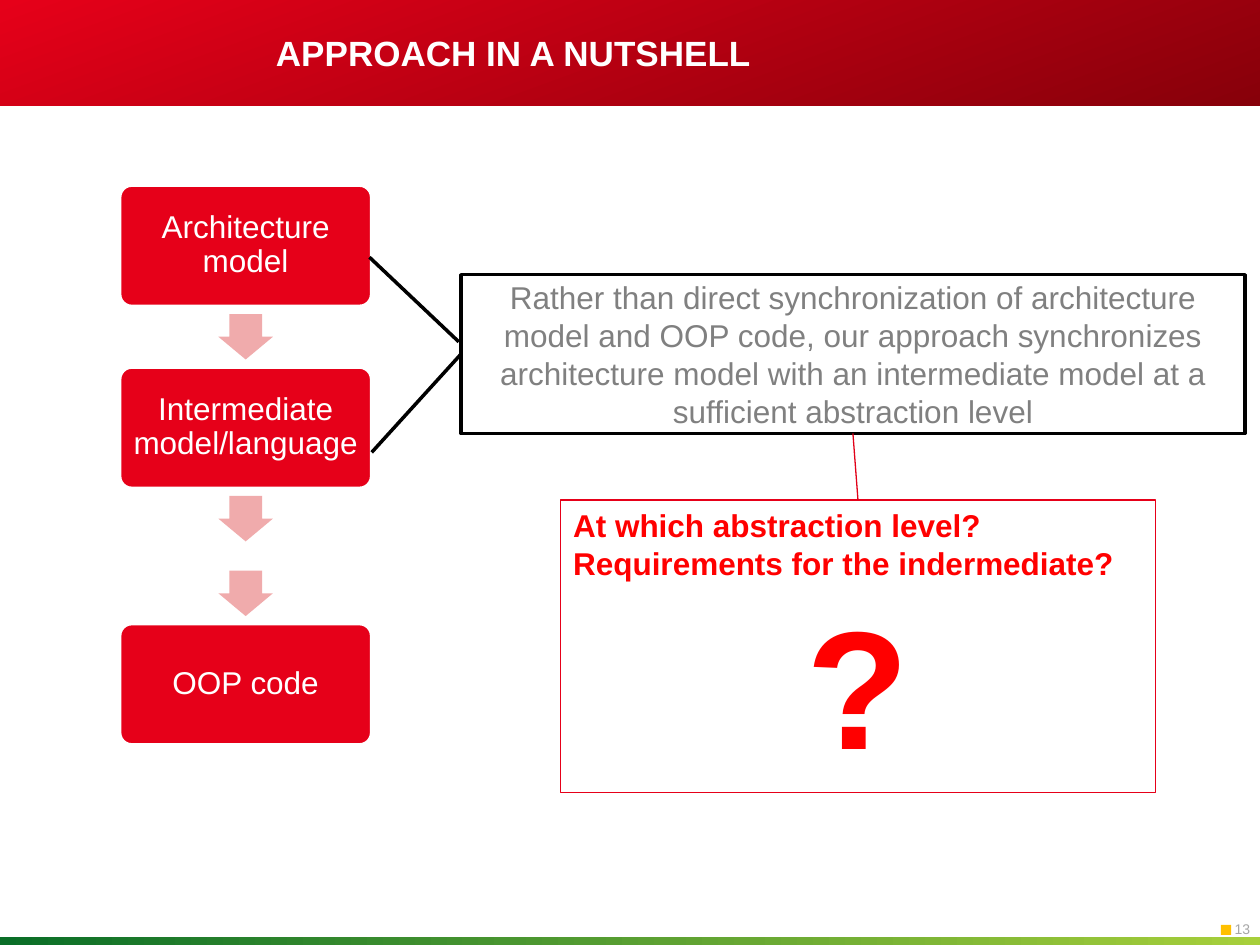
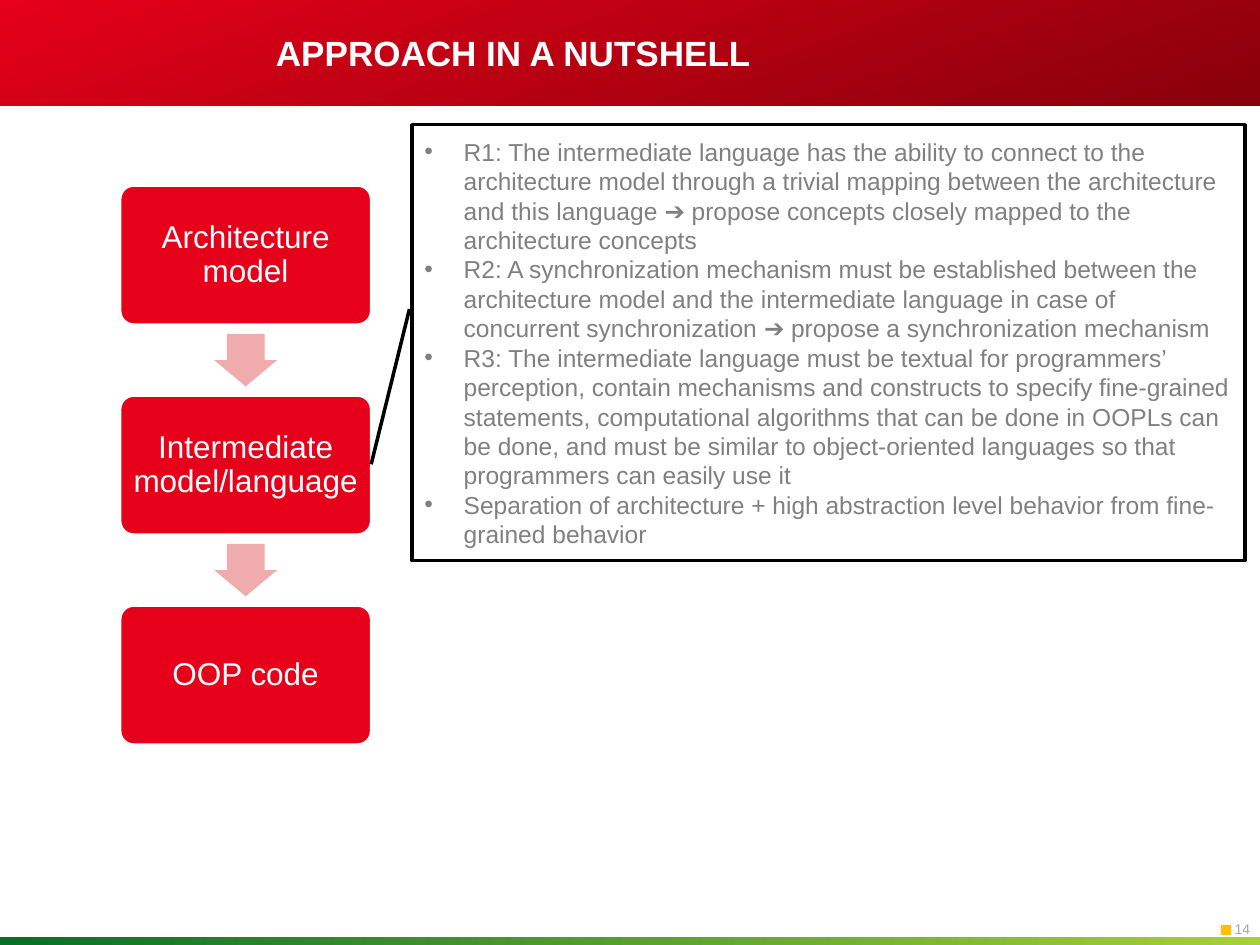
from lxml import etree
from pptx import Presentation
from pptx.dml.color import RGBColor
from pptx.enum.shapes import MSO_CONNECTOR, MSO_SHAPE
from pptx.enum.text import MSO_ANCHOR, MSO_AUTO_SIZE, PP_ALIGN
from pptx.oxml.ns import qn
from pptx.util import Pt

FONT = "Arial"
RED, DARK_RED, PALE_RED, PURE_RED = "E60019", "87000A", "F0ABAC", "FF0000"
GREEN, LIME, AMBER = "0A6E28", "A7CF3B", "FFC000"
WHITE, BLACK, GREY, PAGE_GREY = "FFFFFF", "000000", "808080", "A6A6A6"

SLIDE_W, SLIDE_H = 720, 540
FLOW_LEFT, FLOW_TOP, FLOW_W = 68.4, 105.8, 144
SPACER_H = 8
TITLE = "APPROACH IN A NUTSHELL"
ARCHITECTURE, INTERMEDIATE, CODE = (
    "Architecture model", "Intermediate model/language", "OOP code")
SUMMARY = (
    "Rather than direct synchronization of architecture model and OOP code, "
    "our approach synchronizes architecture model with an intermediate model "
    "at a sufficient abstraction level")
QUESTION = "At which abstraction level? Requirements for the indermediate?"
REQUIREMENTS = [
    "R1: The intermediate language has the ability to connect to the "
    "architecture model through a trivial mapping between the architecture "
    "and this language ➔ propose concepts closely mapped to the "
    "architecture concepts",
    "R2: A synchronization mechanism must be established between the "
    "architecture model and the intermediate language in case of concurrent "
    "synchronization ➔ propose a synchronization mechanism",
    "R3: The intermediate language must be textual for programmers’ "
    "perception, contain mechanisms and constructs to specify fine-grained "
    "statements, computational algorithms that can be done in OOPLs can be "
    "done, and must be similar to object-oriented languages so that "
    "programmers can easily use it",
    "Separation of architecture + high abstraction level behavior from "
    "fine-grained behavior",
]


def rgb(hex_color):
    return RGBColor.from_string(hex_color)


def add_box(slide, kind, left, top, width, height, fill=None, line=None,
            line_w=2, adj=()):
    sp = slide.shapes.add_shape(kind, Pt(left), Pt(top), Pt(width), Pt(height))
    sp.shadow.inherit = False
    if fill:
        sp.fill.solid()
        sp.fill.fore_color.rgb = rgb(fill)
    else:
        sp.fill.background()
    if line:
        sp.line.color.rgb = rgb(line)
        sp.line.width = Pt(line_w)
    else:
        sp.line.fill.background()
    for i, value in enumerate(adj):
        sp.adjustments[i] = value
    return sp


def add_gradient_band(slide, top, height, start, end, angle):
    sp = add_box(slide, MSO_SHAPE.RECTANGLE, 0, top, SLIDE_W, height)
    sp.fill.gradient()
    sp.fill.gradient_angle = angle
    for stop, color in zip(sp.fill.gradient_stops, (start, end)):
        stop.color.rgb = rgb(color)
    return sp


def add_line(slide, start, end, color, width):
    line = slide.shapes.add_connector(
        MSO_CONNECTOR.STRAIGHT, *(Pt(v) for v in (*start, *end)))
    line.line.color.rgb = rgb(color)
    line.line.width = Pt(width)
    etree.SubElement(line.element.spPr, qn("a:effectLst"))
    return line


def add_bullet(p, indent):
    pPr = p._p.get_or_add_pPr()
    pPr.set("marL", str(Pt(indent)))
    pPr.set("indent", str(-Pt(indent)))
    etree.SubElement(pPr, qn("a:buFont")).set("typeface", FONT)
    etree.SubElement(pPr, qn("a:buChar")).set("char", "•")


def write(tf, texts, size, color, align=PP_ALIGN.LEFT, bold=False,
          anchor=MSO_ANCHOR.MIDDLE, bullets=False, spacing=None):
    tf.word_wrap = True
    tf.vertical_anchor = anchor
    for i, text in enumerate(texts):
        p = tf.add_paragraph() if i else tf.paragraphs[0]
        if bullets:
            add_bullet(p, 22.5)
        add_run(p, text, size, color, align, bold)
        if spacing:
            p.line_spacing = spacing


def add_run(p, text, size, color, align=PP_ALIGN.LEFT, bold=False):
    p.alignment = align
    r = p.add_run()
    r.text = text
    r.font.name = FONT
    r.font.size = Pt(size)
    r.font.bold = bold
    r.font.color.rgb = rgb(color)


def decorate_layout(slide):
    """Draw the bands and the page marker, then move them to the layout."""
    parts = [
        add_gradient_band(slide, 0, 60.5, RED, DARK_RED, 290),
        add_gradient_band(slide, 535.5, 4.5, GREEN, LIME, 0),
        add_box(slide, MSO_SHAPE.RECTANGLE, 697.7, 528.5, 5.8, 5.8, AMBER),
    ]
    tree = slide.slide_layout.shapes.element
    for i, sp in enumerate(parts):
        sp.element.nvSpPr.cNvPr.set("id", str(100 + i))
        tree.insert(2 + i, sp.element)


def add_slide(prs, page):
    slide = prs.slides.add_slide(prs.slide_layouts[5])
    title = slide.shapes.title
    title.left, title.top = Pt(150.5), Pt(7.2)
    title.width, title.height = Pt(380), Pt(45.4)
    title.text_frame.auto_size = MSO_AUTO_SIZE.NONE
    write(title.text_frame, [TITLE], 20, WHITE, bold=True)
    number = slide.shapes.add_textbox(Pt(698.4), Pt(522.7), Pt(21.6), Pt(17.3))
    tf = number.text_frame
    tf.margin_right = 0
    write(tf, [str(page)], 8, PAGE_GREY, anchor=MSO_ANCHOR.TOP)
    return slide


def add_flow(slide, steps, box_h):
    """Stack boxes with arrows between them; a step of None is a spacer."""
    gap = box_h / 2
    arrow_w, arrow_h = 0.9 * gap, 0.75 * gap
    top = FLOW_TOP
    for i, label in enumerate(steps):
        if i:
            add_box(slide, MSO_SHAPE.DOWN_ARROW,
                    FLOW_LEFT + (FLOW_W - arrow_w) / 2,
                    top - (gap + arrow_h) / 2,
                    arrow_w, arrow_h, PALE_RED, adj=(0.6, 0.5))
        if label is None:
            top += SPACER_H + gap
            continue
        box = add_box(slide, MSO_SHAPE.ROUNDED_RECTANGLE, FLOW_LEFT, top,
                      FLOW_W, box_h, RED, WHITE, adj=(0.1,))
        tf = box.text_frame
        tf.margin_left = tf.margin_right = Pt(4.5)
        write(tf, [label], 18, WHITE, PP_ALIGN.CENTER, spacing=0.9)
        top += box_h + gap


def add_callout(slide, left, top, width, height, leader):
    return add_box(slide, MSO_SHAPE.LINE_CALLOUT_1, left, top, width, height,
                   line=BLACK, adj=leader)


def build_question_slide(slide):
    add_flow(slide, [ARCHITECTURE, INTERMEDIATE, None, CODE], 69.3)
    summary = add_callout(slide, 263.5, 157, 447.8, 90.7,
                          (0.423, -0.003, -0.11, -0.117))
    write(summary.text_frame, [SUMMARY], 18, GREY, PP_ALIGN.CENTER)
    add_line(slide, (263.5, 202.3), (212.4, 258.5), BLACK, 2)

    question = add_box(slide, MSO_SHAPE.RECTANGLE, 320.4, 285.8, 339.8, 167,
                       line=RED, line_w=0.75)
    tf = question.text_frame
    write(tf, [QUESTION], 18, PURE_RED, bold=True, anchor=MSO_ANCHOR.TOP)
    add_run(tf.add_paragraph(), "?", 96, PURE_RED, PP_ALIGN.CENTER, True)
    link = add_line(slide, (490.3, 285.8), (487.4, 247.7), "E10018", 0.75)
    link.begin_connect(question, 0)


def build_requirements_slide(slide):
    add_flow(slide, [ARCHITECTURE, INTERMEDIATE, CODE], 80)
    requirements = add_callout(slide, 235.4, 71.3, 475.9, 249.1,
                               (0.423, -0.003, 0.779, -0.049))
    write(requirements.text_frame, REQUIREMENTS, 14, GREY, bullets=True)


def main():
    prs = Presentation()
    prs.slide_width, prs.slide_height = Pt(SLIDE_W), Pt(SLIDE_H)
    builders = [build_question_slide, build_requirements_slide]
    for page, build in enumerate(builders, start=13):
        build(add_slide(prs, page))
    decorate_layout(prs.slides[0])
    prs.save("out.pptx")


if __name__ == "__main__":
    main()
